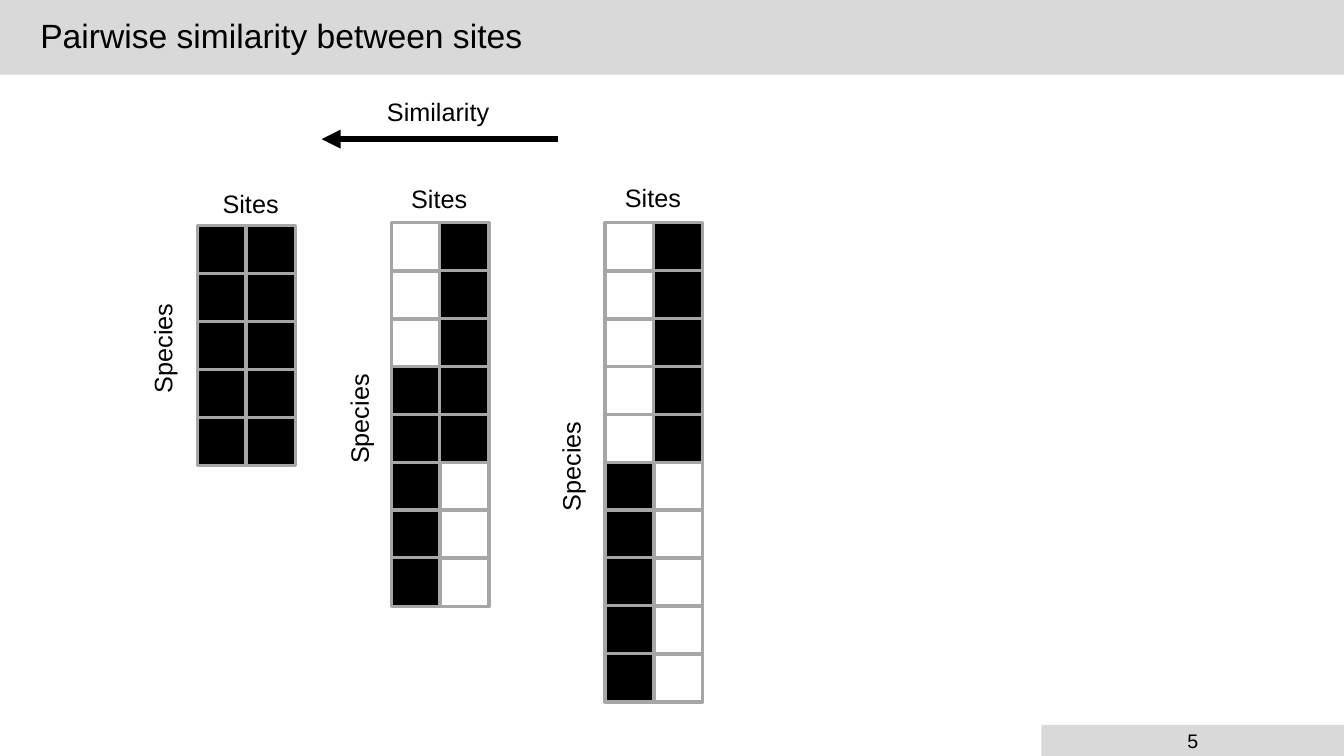
import pptx
import pptx.dml.color
import pptx.enum.dml
import pptx.enum.shapes
import pptx.enum.text
import pptx.oxml
import pptx.oxml.ns
import pptx.util
from pptx.util import Inches

# Content: each matrix row is (left site, right site), 1 = species present
TITLE = "Pairwise similarity between sites"
PAGE = "5"
ARROW_LABEL = "Similarity"
MATRICES = [
    {"rows": [(0, 1)] * 3 + [(1, 1)] * 2 + [(1, 0)] * 3,
     "at": (3.88, 2.21), "sites_at": (3.98, 1.77), "species_at": (3.01, 3.95)},
    {"rows": [(0, 1)] * 5 + [(1, 0)] * 5,
     "at": (6.0, 2.21), "sites_at": (6.1, 1.76), "species_at": (5.11, 4.42)},
    {"rows": [(1, 1)] * 5,
     "at": (1.96, 2.24), "sites_at": (2.11, 1.82), "species_at": (1.06, 3.25)},
]

THEME = {
    "font": "Arial", "ink": "000000", "band": "D9D9D9", "grid": "A6A6A6",
    "title": 24, "label": 18, "page": 14, "grid_line": 2.25, "arrow_line": 4.5,
}
CELL_W, CELL_H = 0.49, 0.48
PITCH_X, PITCH_Y = 0.48, 0.475
ALIGN = pptx.enum.text.PP_ALIGN
RECT = pptx.enum.shapes.MSO_SHAPE.RECTANGLE


def color(key):
    return pptx.dml.color.RGBColor.from_string(THEME[key])


def fill(sp, key):
    sp.fill.solid()
    sp.fill.fore_color.rgb = color(key)


def write(sp, text, size="label", align=ALIGN.LEFT):
    """Put one formatted line of text into a shape."""
    p = sp.text_frame.paragraphs[0]
    p.alignment = align
    r = p.add_run()
    r.text = text
    r.font.name = THEME["font"]
    r.font.size = pptx.util.Pt(THEME[size])
    r.font.color.rgb = color("ink")
    return p


def label(shapes, text, at, width, rotation=0):
    sp = shapes.add_textbox(*map(Inches, (*at, width, 0.4)))
    sp.rotation = rotation
    sp.text_frame.word_wrap = False
    sp.text_frame.auto_size = pptx.enum.text.MSO_AUTO_SIZE.SHAPE_TO_FIT_TEXT
    write(sp, text)


def matrix(s, rows, at, sites_at, species_at):
    shapes = s.shapes.add_group_shape().shapes
    left, top = at
    for i, row in enumerate(rows):
        for j, present in enumerate(row):
            sp = shapes.add_shape(RECT, Inches(left + j * PITCH_X), Inches(top + i * PITCH_Y),
                                  Inches(CELL_W), Inches(CELL_H))
            sp.shadow.inherit = False
            if present:
                fill(sp, "ink")
            else:
                sp.fill.background()
            sp.line.color.rgb = color("grid")
            sp.line.width = pptx.util.Pt(THEME["grid_line"])
    label(shapes, "Sites", sites_at, 0.76)
    label(shapes, "Species", species_at, 1.1, rotation=270)


def similarity_arrow(s):
    shapes = s.shapes.add_group_shape().shapes
    arrow = shapes.add_connector(pptx.enum.shapes.MSO_CONNECTOR.STRAIGHT,
                                 Inches(5.53), Inches(1.38), Inches(3.19), Inches(1.38))
    arrow.line.color.rgb = color("ink")
    arrow.line.width = pptx.util.Pt(THEME["arrow_line"])
    ln = arrow.line._get_or_add_ln()
    ln.append(pptx.oxml.parse_xml(
        f'<a:tailEnd {pptx.oxml.ns.nsdecls("a")} type="triangle"/>'))
    ln.addnext(pptx.oxml.parse_xml(f'<a:effectLst {pptx.oxml.ns.nsdecls("a")}/>'))
    label(shapes, ARROW_LABEL, (3.74, 0.91), 1.23)


def main():
    prs = pptx.Presentation()
    prs.slide_width, prs.slide_height = Inches(13.33), Inches(7.5)
    s = prs.slides.add_slide(prs.slide_layouts[5])
    middle = pptx.enum.text.MSO_ANCHOR.MIDDLE

    # Title band
    title = s.shapes.title
    title.left, title.top, title.width, title.height = map(Inches, (0, 0, 13.33, 0.74))
    fill(title, "band")
    title.text_frame.vertical_anchor = middle
    title.text_frame.auto_size = pptx.enum.text.MSO_AUTO_SIZE.NONE
    p = write(title, TITLE, size="title")
    p.line_spacing = 0.9
    pPr = p._p.get_or_add_pPr()
    pPr.set("marL", str(Inches(0.3)))
    pPr.set("indent", "0")

    # Page number band
    page = s.shapes.add_shape(RECT, *map(Inches, (10.33, 7.19, 3, 0.31)))
    page.shadow.inherit = False
    fill(page, "band")
    page.line.fill.background()
    page.text_frame.vertical_anchor = middle
    write(page, PAGE, size="page", align=ALIGN.CENTER)

    # Species-by-site matrices and the similarity direction
    for m in MATRICES:
        matrix(s, **m)
    similarity_arrow(s)

    prs.save("out.pptx")


if __name__ == "__main__":
    main()
